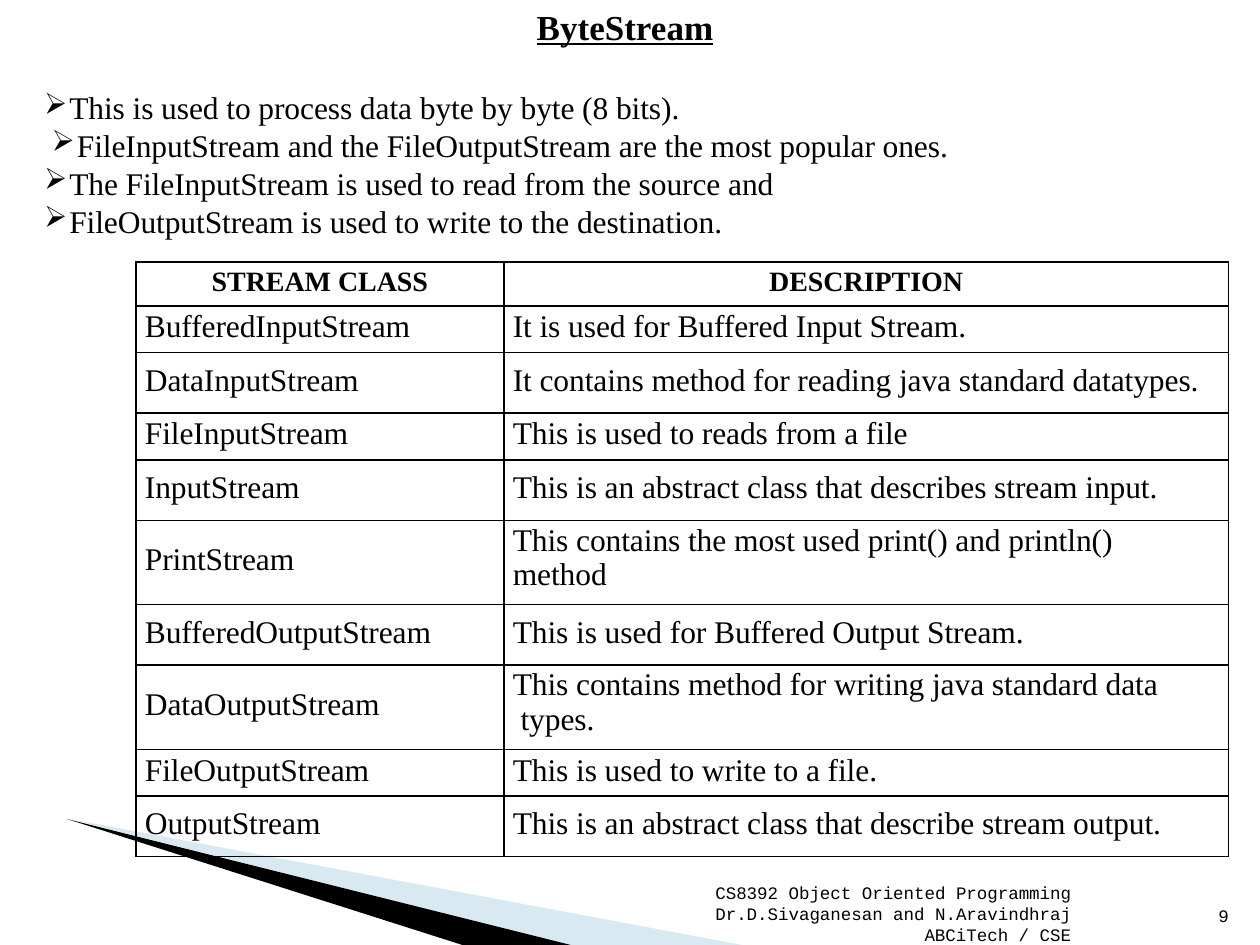
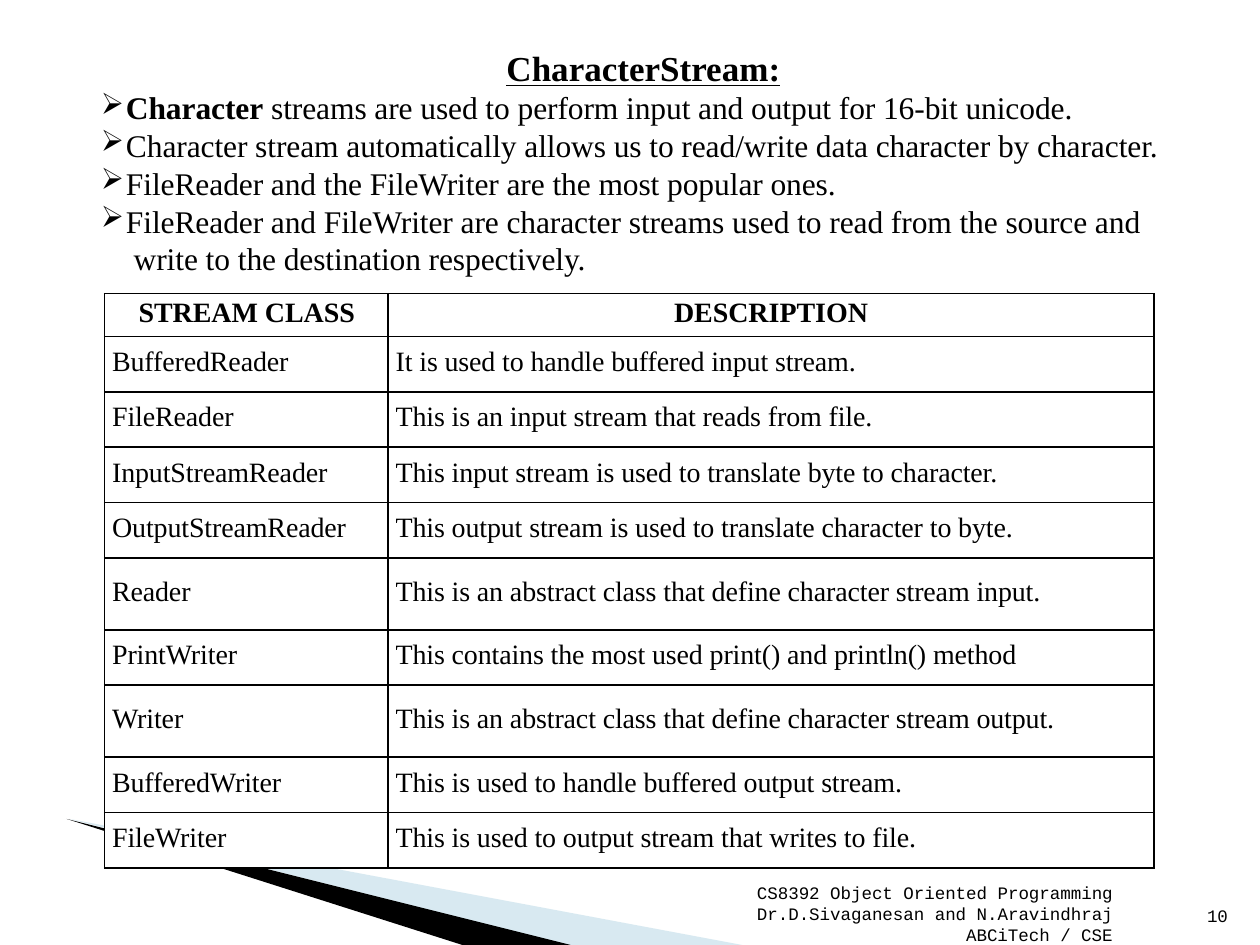
from lxml import etree
from pptx import Presentation
from pptx.dml.color import RGBColor
from pptx.enum.text import MSO_ANCHOR, MSO_AUTO_SIZE, PP_ALIGN
from pptx.oxml import parse_xml
from pptx.oxml.ns import nsdecls, qn
from pptx.util import Inches, Pt

# Shared look
BLACK = RGBColor(0x00, 0x00, 0x00)
WHITE = RGBColor(0xFF, 0xFF, 0xFF)
PALE_BLUE = RGBColor(0x9F, 0xCA, 0xDC)
SERIF, MONO = "Times New Roman", "Courier New"
BODY_SIZE, HEADER_SIZE = 18, 16
BULLET_INDENT = 0.21
LINE_BOX = 0.0174  # inches of cell height per point of text
PALE_WEDGE = [(0.55, 6.5), (4.51, 7.5), (5.89, 7.5)]
BLACK_WEDGE = [(0.53, 6.5), (3.67, 7.5), (4.53, 7.5)]
FOOTER = ("CS8392 Object Oriented Programming\n"
          "Dr.D.Sivaganesan and N.Aravindhraj\vABCiTech / CSE")
HEADERS = ("STREAM CLASS", "DESCRIPTION")

# Content: boxes are left, top, width, height; table rows are height, class, description
SLIDES = [
    dict(
        title="ByteStream", title_box=(4.25, 0.03, 1.43, 0.36),
        bullets_box=(0.34, 0.69, 7.6, 1.23),
        bullets=[
            dict(text="This is used to process data byte by byte (8 bits)."),
            dict(text="FileInputStream and the FileOutputStream are the most popular ones.",
                 indent=0.27),
            dict(text="The FileInputStream is used to read from the source and"),
            dict(text="FileOutputStream is used to write to the destination."),
        ],
        table_at=(1.08, 2.08), columns=(2.92, 5.75), header_height=0.35,
        row_size=18, cell_indent=0.07, header_indent=0.6, opaque=False,
        rows=[
            (0.37, "BufferedInputStream", "It is used for Buffered Input Stream."),
            (0.48, "DataInputStream", "It contains method for reading java standard datatypes."),
            (0.37, "FileInputStream", "This is used to reads from a file"),
            (0.48, "InputStream", "This is an abstract class that describes stream input."),
            (0.67, "PrintStream", "This contains the most used print() and println()\nmethod"),
            (0.48, "BufferedOutputStream", "This is used for Buffered Output Stream."),
            (0.67, "DataOutputStream",
             "This contains method for writing java standard data\v types."),
            (0.37, "FileOutputStream", "This is used to write to a file."),
            (0.48, "OutputStream", "This is an abstract class that describe stream output."),
        ],
        footer_left=4.88, number="9", number_left=9.66,
    ),
    dict(
        title="CharacterStream:", title_box=(4.01, 0.36, 2.19, 0.36),
        bullets_box=(0.79, 0.69, 8.6, 1.53),
        bullets=[
            dict(text=" streams are used to perform input and output for 16-bit unicode.",
                 bold_lead="Character"),
            dict(text="Character stream automatically allows us to read/write data "
                      "character by character."),
            dict(text="FileReader and the FileWriter are the most popular ones."),
            dict(text="FileReader and FileWriter are character streams used to read from "
                      "the source and\v write to the destination respectively."),
        ],
        table_at=(0.83, 2.33), columns=(2.25, 6.08), header_height=0.34,
        row_size=16, cell_indent=0.06, header_indent=0.27, opaque=True,
        rows=[
            (0.44, "BufferedReader", "It is used to handle buffered input stream."),
            (0.44, "FileReader", "This is an input stream that reads from file."),
            (0.44, "InputStreamReader", "This input stream is used to translate byte to character."),
            (0.44, "OutputStreamReader",
             "This output stream is used to translate character to byte."),
            (0.57, "Reader", "This is an abstract class that define character stream input."),
            (0.44, "PrintWriter", "This contains the most used print() and println() method"),
            (0.57, "Writer", "This is an abstract class that define character stream output."),
            (0.44, "BufferedWriter", "This is used to handle buffered output stream."),
            (0.44, "FileWriter", "This is used to output stream that writes to file."),
        ],
        footer_left=5.21, number="10", number_left=9.57,
    ),
]


def write(paragraph, text, size=BODY_SIZE, font=SERIF, bold=False, underline=False,
          align=PP_ALIGN.LEFT, indent=0, before=0, tracking=0, bold_lead="", bullet=False):
    """Fill one paragraph; a vertical tab in the text is a line break."""
    paragraph.alignment = align
    paragraph.space_before = Pt(before)
    properties = paragraph._p.get_or_add_pPr()
    properties.set("marL", str(Inches(indent)))
    properties.set("indent", str(-Inches(BULLET_INDENT - 0.01) if bullet else 0))
    if bullet:
        etree.SubElement(properties, qn("a:buSzPct")).set("val", "94000")
        etree.SubElement(properties, qn("a:buChar")).set("char", "➢")

    pieces = [(bold_lead, True)] if bold_lead else []
    for number, line in enumerate(text.split("\v")):
        if number:
            pieces.append((None, bold))
        pieces.append((line, bold))
    for piece, is_bold in pieces:
        if piece is None:
            paragraph.add_line_break()
            continue
        run = paragraph.add_run()
        run.text = piece
        run.font.size, run.font.name = Pt(size), font
        run.font.bold, run.font.underline = is_bold, underline
        run.font.color.rgb = BLACK
        if tracking:
            run._r.get_or_add_rPr().set("spc", str(int(tracking * 100)))


def write_lines(frame, lines, **text_format):
    for number, line in enumerate(lines):
        paragraph = frame.add_paragraph() if number else frame.paragraphs[0]
        write(paragraph, line, **text_format)


def prepare_frame(shape, top_margin=0.01, wrap=True):
    frame = shape.text_frame
    frame.margin_left = frame.margin_right = frame.margin_bottom = 0
    frame.margin_top = Inches(top_margin)
    frame.vertical_anchor = MSO_ANCHOR.TOP
    frame.auto_size = MSO_AUTO_SIZE.NONE
    frame.word_wrap = wrap
    return frame


def add_text_frame(slide, box, **frame_format):
    return prepare_frame(slide.shapes.add_textbox(*map(Inches, box)), **frame_format)


def add_wedge(slide, points, color, opacity=100):
    corners = [(Inches(x), Inches(y)) for x, y in points]
    builder = slide.shapes.build_freeform(*corners[0])
    builder.add_line_segments(corners[1:], close=True)
    wedge = builder.convert_to_shape()
    wedge.shadow.inherit = False
    wedge.line.fill.background()
    wedge.fill.solid()
    wedge.fill.fore_color.rgb = color
    if opacity < 100:
        color_element = wedge._element.spPr.find(qn("a:solidFill"))[0]
        etree.SubElement(color_element, qn("a:alpha")).set("val", str(opacity * 1000))


def style_cell(cell, height, text, opaque, size, **text_format):
    lines = text.split("\n")
    line_count = len(lines) + text.count("\v")
    cell.margin_left = cell.margin_right = cell.margin_bottom = 0
    cell.margin_top = Inches(max(0, height - line_count * size * LINE_BOX) / 2)
    properties = cell._tc.get_or_add_tcPr()
    for edge in ("lnL", "lnR", "lnT", "lnB"):
        properties.append(parse_xml(
            f'<a:{edge} {nsdecls("a")} w="{Pt(1)}"><a:solidFill>'
            f'<a:srgbClr val="{BLACK}"/></a:solidFill></a:{edge}>'))
    if opaque:
        cell.fill.solid()
        cell.fill.fore_color.rgb = WHITE
    else:
        cell.fill.background()
    write_lines(cell.text_frame, lines, size=size, **text_format)


def add_stream_table(slide, content):
    rows = [(content["header_height"], *HEADERS)] + content["rows"]
    widths = content["columns"]
    height = sum(row[0] for row in rows)
    left, top = content["table_at"]
    table = slide.shapes.add_table(len(rows), len(widths), Inches(left), Inches(top),
                                   Inches(sum(widths)), Inches(height)).table
    table.first_row = table.horz_banding = False
    for column, width in zip(table.columns, widths):
        column.width = Inches(width)
    header_formats = [dict(indent=content["header_indent"]), dict(align=PP_ALIGN.CENTER)]
    for row_index, (row_height, *texts) in enumerate(rows):
        table.rows[row_index].height = Inches(row_height)
        for column_index, text in enumerate(texts):
            if row_index == 0:
                text_format = dict(size=HEADER_SIZE, bold=True, **header_formats[column_index])
            else:
                text_format = dict(size=content["row_size"], indent=content["cell_indent"],
                                   tracking=-0.05)
            style_cell(table.cell(row_index, column_index), row_height, text,
                       content["opaque"], **text_format)


def build_slide(presentation, content):
    slide = presentation.slides.add_slide(presentation.slide_layouts[5])

    # Corner wedges
    add_wedge(slide, PALE_WEDGE, PALE_BLUE, opacity=40)
    add_wedge(slide, BLACK_WEDGE, BLACK)

    # Footer and slide number
    footer = add_text_frame(slide, (content["footer_left"], 6.99, 3.62, 0.5))
    write_lines(footer, FOOTER.split("\n"), size=10, font=MONO, align=PP_ALIGN.RIGHT)
    number = add_text_frame(slide, (content["number_left"], 7.16, 0.21, 0.2),
                            top_margin=0.02, wrap=False)
    write_lines(number, [content["number"]], size=10, font=MONO, indent=0.01, before=1)

    # Title
    title = slide.shapes.title
    title.left, title.top, title.width, title.height = map(Inches, content["title_box"])
    write_lines(prepare_frame(title, wrap=False), [content["title"]], size=20, bold=True,
                underline=True, indent=0.01, before=1)

    # Bullets
    frame = add_text_frame(slide, content["bullets_box"])
    for index, bullet in enumerate(content["bullets"]):
        paragraph = frame.add_paragraph() if index else frame.paragraphs[0]
        write(paragraph, **{"indent": BULLET_INDENT, "tracking": -0.05, **bullet}, bullet=True)

    add_stream_table(slide, content)


def main():
    presentation = Presentation()
    presentation.slide_width, presentation.slide_height = Inches(10), Inches(7.5)
    for content in SLIDES:
        build_slide(presentation, content)
    presentation.save("out.pptx")


if __name__ == "__main__":
    main()
